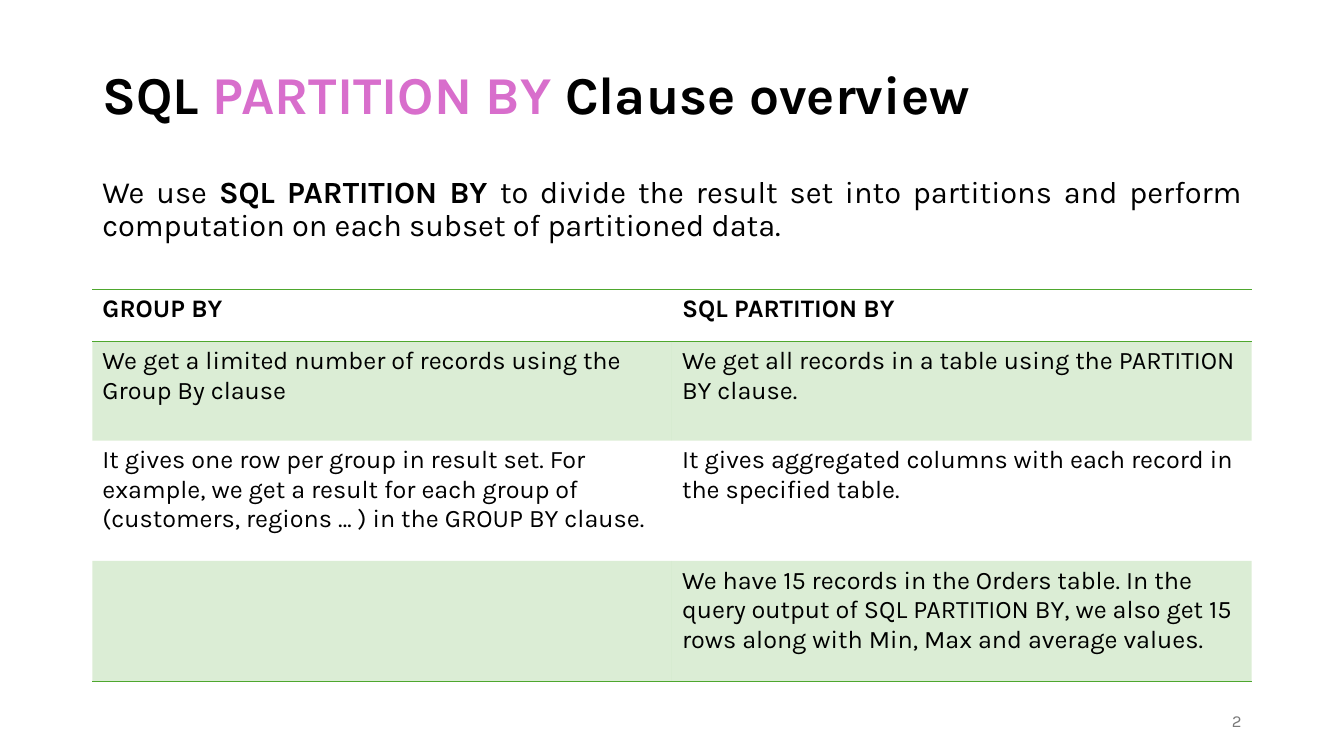
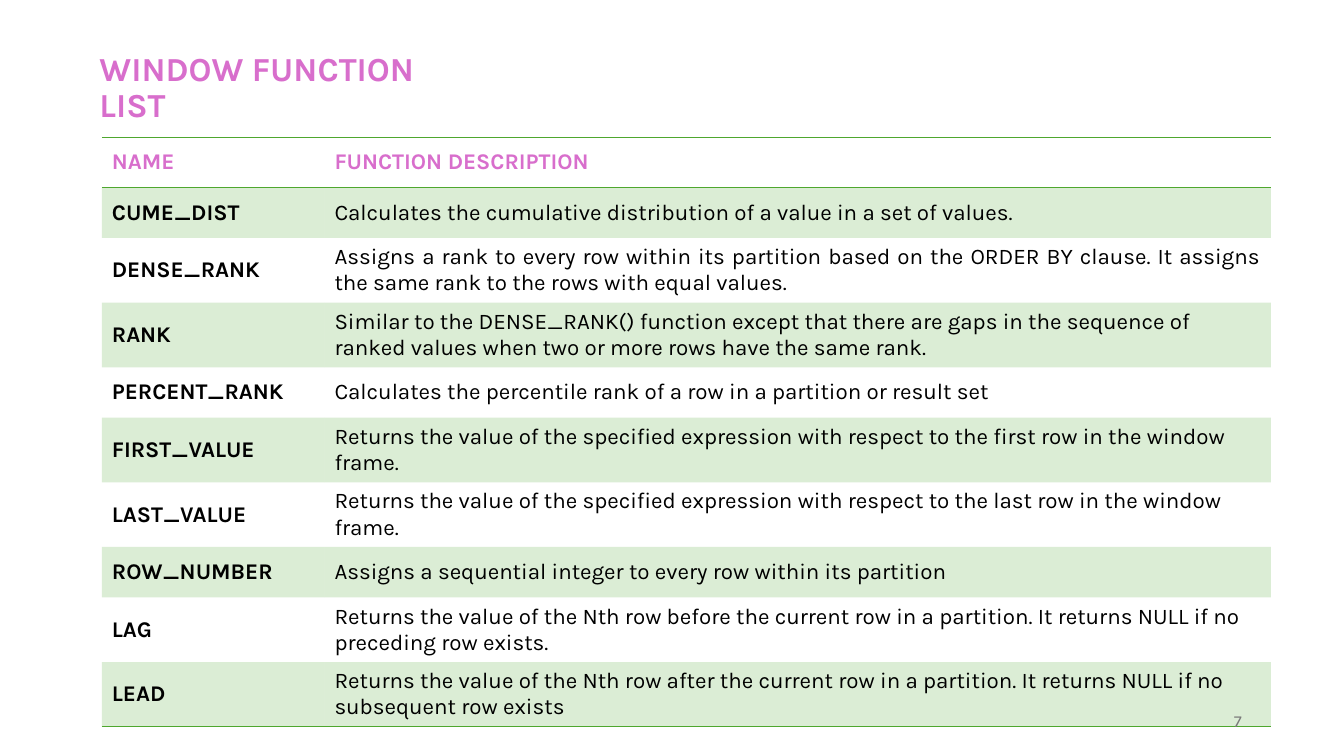
from lxml import etree
from pptx import Presentation
from pptx.dml.color import RGBColor
from pptx.enum.text import MSO_ANCHOR, PP_ALIGN
from pptx.oxml.ns import qn
from pptx.util import Pt

TOP, MIDDLE = MSO_ANCHOR.TOP, MSO_ANCHOR.MIDDLE
LEFT, RIGHT, JUSTIFY = PP_ALIGN.LEFT, PP_ALIGN.RIGHT, PP_ALIGN.JUSTIFY
FONT = "Karla"
COLORS = {"text": "000000", "accent": "D86ECC", "green": "4EA72E", "number": "797979"}
BAND_ALPHA = 20
NO_STYLE = "{2D5ABB26-0587-4C30-8999-92F81FD0307C}"

CONTENT_LEFT, CONTENT_W = 66, 828
ONE_LINE, TWO_LINES = 36, 46.2

COMPARISON = [
    ("GROUP BY", "SQL PARTITION BY"),
    ("We get a limited number of records using the Group By clause",
     "We get all records in a table using the PARTITION BY clause."),
    ("It gives one row per group in result set. For example, we get a result for each "
     "group of (customers, regions … ) in the GROUP BY clause.",
     "It gives aggregated columns with each record in the specified table."),
    ("",
     "We have 15 records in the Orders table. In the query output of SQL PARTITION BY, "
     "we also get 15 rows along with Min, Max and average values."),
]

FUNCTIONS = [
    ("NAME", "FUNCTION DESCRIPTION"),
    ("CUME_DIST", "Calculates the cumulative distribution of a value in a set of values."),
    ("DENSE_RANK", "Assigns a rank to every row within its partition based on the ORDER BY "
                   "clause. It assigns the same rank to the rows with equal values."),
    ("RANK", "Similar to the DENSE_RANK() function except that there are gaps in the sequence "
             "of ranked values when two or more rows have the same rank."),
    ("PERCENT_RANK", "Calculates the percentile rank of a row in a partition or result set"),
    ("FIRST_VALUE", "Returns the value of the specified expression with respect to the first "
                    "row in the window frame."),
    ("LAST_VALUE", "Returns the value of the specified expression with respect to the last "
                   "row in the window frame."),
    ("ROW_NUMBER", "Assigns a sequential integer to every row within its partition"),
    ("LAG", "Returns the value of the Nth row before the current row in a partition. "
            "It returns NULL if no preceding row exists."),
    ("LEAD", "Returns the value of the Nth row after the current row in a partition. "
             "It returns NULL if no subsequent row exists"),
]
JUSTIFIED_ROWS = (1, 2)


def add_run(p, text, size, color="text", bold=False):
    r = p.add_run()
    r.text = text
    r.font.name = FONT
    r.font.size = Pt(size)
    r.font.bold = bold
    r.font.color.rgb = RGBColor.from_string(COLORS[color])


def add_text(s, box, runs, size, align=LEFT, anchor=TOP, spacing=None, inset_top=3.6):
    """One paragraph; runs are (text, color, bold)."""
    tf = s.shapes.add_textbox(*map(Pt, box)).text_frame
    tf.word_wrap = True
    tf.vertical_anchor = anchor
    tf.margin_top = Pt(inset_top)
    p = tf.paragraphs[0]
    p.alignment = align
    if spacing:
        p.line_spacing = spacing
    for text, color, bold in runs:
        add_run(p, text, size, color, bold)


def add_title(s, box, runs, size, **options):
    bold_runs = [(text, color, True) for text, color in runs]
    add_text(s, box, bold_runs, size, spacing=0.9, **options)


def add_page_number(s, number):
    add_text(s, (678, 500.5, 216, 28.75), [(str(number), "number", False)], 12, RIGHT, MIDDLE)


def add_borders(cell, sides):
    """Rules on the given sides; the lines come before the fill in the cell."""
    tc_pr = cell._tc.get_or_add_tcPr()
    for i, side in enumerate(sides):
        ln = etree.Element(qn("a:ln" + side), w=str(Pt(1)))
        fill = etree.SubElement(ln, qn("a:solidFill"))
        etree.SubElement(fill, qn("a:srgbClr"), val=COLORS["green"])
        tc_pr.insert(i, ln)


def fill_band(cell):
    cell.fill.solid()
    cell.fill.fore_color.rgb = RGBColor.from_string(COLORS["green"])
    color = cell._tc.tcPr.find(".//" + qn("a:srgbClr"))
    etree.SubElement(color, qn("a:alpha"), val=str(BAND_ALPHA * 1000))


def add_banded_table(s, left, top, widths, heights, rows, size, anchor=TOP,
                     header_color="text", bold_names=False, justified=()):
    frame = s.shapes.add_table(len(rows), len(widths), Pt(left), Pt(top),
                               Pt(sum(widths)), Pt(sum(heights)))
    table = frame.table
    table.horz_banding = False
    table._tbl.tblPr.find(qn("a:tableStyleId")).text = NO_STYLE
    for col, width in zip(table.columns, widths):
        col.width = Pt(width)
    for i, (texts, height) in enumerate(zip(rows, heights)):
        table.rows[i].height = Pt(height)
        for j, text in enumerate(texts):
            cell = table.cell(i, j)
            cell.vertical_anchor = anchor
            # Odd rows are tinted
            if i % 2:
                fill_band(cell)
            else:
                cell.fill.background()
            # Rules above and below the header and under the last row
            if i == 0:
                add_borders(cell, "TB")
            elif i == len(rows) - 1:
                add_borders(cell, "B")
            p = cell.text_frame.paragraphs[0]
            p.alignment = JUSTIFY if j and i in justified else LEFT
            if text:
                add_run(p, text, size, "text" if i else header_color,
                        i == 0 or (bold_names and j == 0))


def add_overview_slide(prs):
    s = prs.slides.add_slide(prs.slide_layouts[6])
    # Title and introduction
    add_title(s, (CONTENT_LEFT, 36.75, CONTENT_W, 104.4),
              [("SQL ", "text"), ("PARTITION BY ", "accent"), ("Clause overview", "text")],
              38, inset_top=12)
    add_text(s, (CONTENT_LEFT, 123, CONTENT_W, 78),
             [("We use ", "text", False), ("SQL PARTITION BY ", "text", True),
              ("to divide the result set into partitions and perform computation on each "
               "subset of partitioned data.", "text", False)],
             22, JUSTIFY, spacing=0.9)
    # Comparison
    add_banded_table(s, CONTENT_LEFT, 206.75, [CONTENT_W / 2] * 2, [37.2, 70.7, 86, 86],
                     COMPARISON, 18)
    add_page_number(s, 2)


def add_functions_slide(prs):
    s = prs.slides.add_slide(prs.slide_layouts[6])
    # Title
    add_title(s, (64, 35, 283, 57), [("WINDOW FUNCTION LIST", "accent")], 24, anchor=MIDDLE)
    # Function list: long descriptions take two lines
    heights = [TWO_LINES if len(text) > 80 else ONE_LINE for _, text in FUNCTIONS]
    add_banded_table(s, 72.75, 98, [159, 676], heights, FUNCTIONS, 16, MIDDLE,
                     "accent", True, JUSTIFIED_ROWS)
    add_page_number(s, 7)


def main():
    prs = Presentation()
    prs.slide_width, prs.slide_height = Pt(960), Pt(540)
    add_overview_slide(prs)
    add_functions_slide(prs)
    prs.save("out.pptx")


if __name__ == "__main__":
    main()
